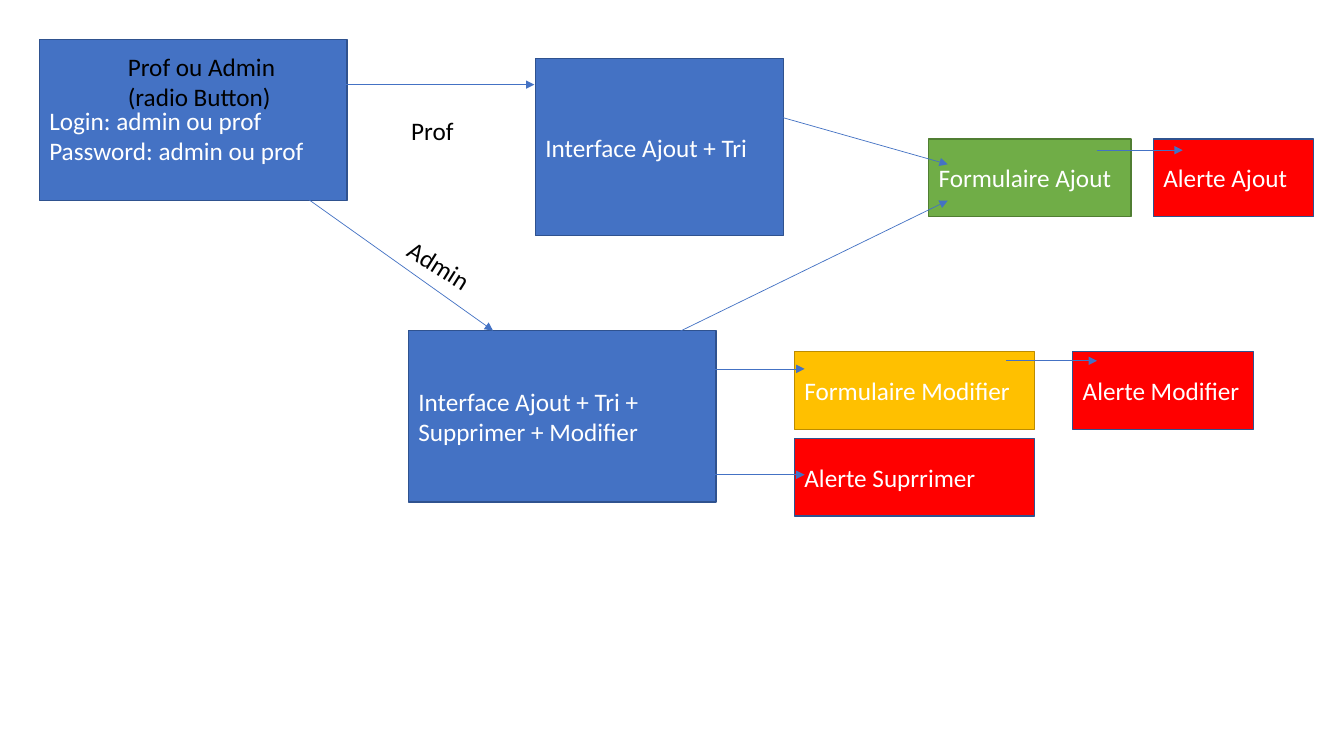
"""Build a flow diagram of the login, the two interfaces, the forms and the alerts."""
import pptx
import pptx.dml.color
import pptx.enum.shapes
import pptx.enum.text
import pptx.oxml.ns
import pptx.util
import lxml.etree

COLORS = {
    "blue": "4472C4", "navy": "2F528F", "green": "70AD47", "moss": "507E32",
    "amber": "FFC000", "ochre": "BC8C00", "red": "FF0000",
    "white": "FFFFFF", "black": "000000",
}
CELL = pptx.util.Inches(1)
SLIDE_COLUMNS, SLIDE_ROWS = 13.33, 7.5
FORM_HEIGHT = 0.77
ADD_ROW, EDIT_ROW, DELETE_ROW = 1.38, 3.49, 4.35
FORM_COLUMN, FORM_WIDTH = 7.88, 2.38


def grid(*cells):
    """Turn columns and rows of the one-inch grid into slide lengths."""
    return [round(cell * CELL) for cell in cells]


def color(name):
    """Look up a named colour."""
    return pptx.dml.color.RGBColor.from_string(COLORS[name])


def write(shape, text, ink="white", size=18, anchor="MIDDLE", top=0.05):
    """Write left-aligned lines of text into a shape."""
    frame = shape.text_frame
    frame.word_wrap = True
    frame.vertical_anchor = getattr(pptx.enum.text.MSO_ANCHOR, anchor)
    frame.margin_top = grid(top)[0]
    for number, line in enumerate(text.split("\n")):
        para = frame.add_paragraph() if number else frame.paragraphs[0]
        para.alignment = pptx.enum.text.PP_ALIGN.LEFT
        span = para.add_run()
        span.text = line
        span.font.name = "Calibri"
        span.font.size = pptx.util.Pt(size)
        span.font.color.rgb = color(ink)


def add_step(page, text, place, fill="blue", border="navy", top=0.05):
    """Add a filled, bordered rectangle for one step."""
    box = page.shapes.add_shape(
        pptx.enum.shapes.MSO_SHAPE.RECTANGLE, *grid(*place))
    box.shadow.inherit = False
    box.fill.solid()
    box.fill.fore_color.rgb = color(fill)
    box.line.color.rgb = color(border)
    box.line.width = pptx.util.Pt(1)
    write(box, text, top=top)


def add_label(page, text, place, rotation=0):
    """Add a plain black label."""
    box = page.shapes.add_textbox(*grid(*place))
    box.rotation = rotation
    write(box, text, ink="black", anchor="TOP")


def add_arrow(page, start, end):
    """Add a thin straight arrow between two points."""
    arrow = page.shapes.add_connector(
        pptx.enum.shapes.MSO_CONNECTOR.STRAIGHT, *grid(*start, *end))
    arrow.line.color.rgb = color("blue")
    arrow.line.width = pptx.util.Pt(0.5)
    qualify = pptx.oxml.ns.qn
    lxml.etree.SubElement(
        arrow.line._get_or_add_ln(), qualify("a:tailEnd"), type="triangle")
    lxml.etree.SubElement(arrow._element.spPr, qualify("a:effectLst"))


def main():
    """Build the slide and save the deck."""
    deck = pptx.Presentation()
    deck.slide_width, deck.slide_height = grid(SLIDE_COLUMNS, SLIDE_ROWS)
    page = deck.slides.add_slide(deck.slide_layouts[6])

    add_step(page, "Login: admin ou prof\nPassword: admin ou prof",
             (0.39, 0.39, 3.05, 1.6), top=0.35)
    add_label(page, "Prof ou Admin (radio Button)", (1.17, 0.46, 1.94, 0.71))
    add_arrow(page, (2.41, 0.84), (5.3, 0.84))
    add_step(page, "Interface Ajout + Tri", (5.31, 0.58, 2.46, 1.76))
    add_step(page, "Interface Ajout + Tri + Supprimer + Modifier",
             (4.05, 3.28, 3.05, 1.7))
    add_arrow(page, (2.57, 1.63), (4.89, 3.28))
    add_label(page, "Prof", (3.98, 1.09, 0.75, 0.4))
    add_label(page, "Admin", (3.91, 2.48, 1.06, 0.4), rotation=32.1)

    for text, left, top, width, fill, border in (
        ("Formulaire Ajout", 9.21, ADD_ROW, 2.01, "green", "moss"),
        ("Formulaire Modifier", FORM_COLUMN, EDIT_ROW, FORM_WIDTH, "amber", "ochre"),
        ("Alerte Suprrimer", FORM_COLUMN, DELETE_ROW, FORM_WIDTH, "red", "navy"),
        ("Alerte Ajout", 11.44, ADD_ROW, 1.59, "red", "navy"),
        ("Alerte Modifier", 10.64, EDIT_ROW, 1.79, "red", "navy"),
    ):
        add_step(page, text, (left, top, width, FORM_HEIGHT), fill, border)

    for start, end in (
        ((5.09, 4.71), (7.98, 4.71)),
        ((6, 3.65), (9.4, 1.99)),
        ((5.09, 3.66), (7.98, 3.66)),
        ((6.54, 0.82), (9.4, 1.63)),
        ((10.88, 1.49), (11.73, 1.49)),
        ((9.98, 3.58), (10.88, 3.58)),
    ):
        add_arrow(page, start, end)

    deck.save("out.pptx")


if __name__ == "__main__":
    main()
